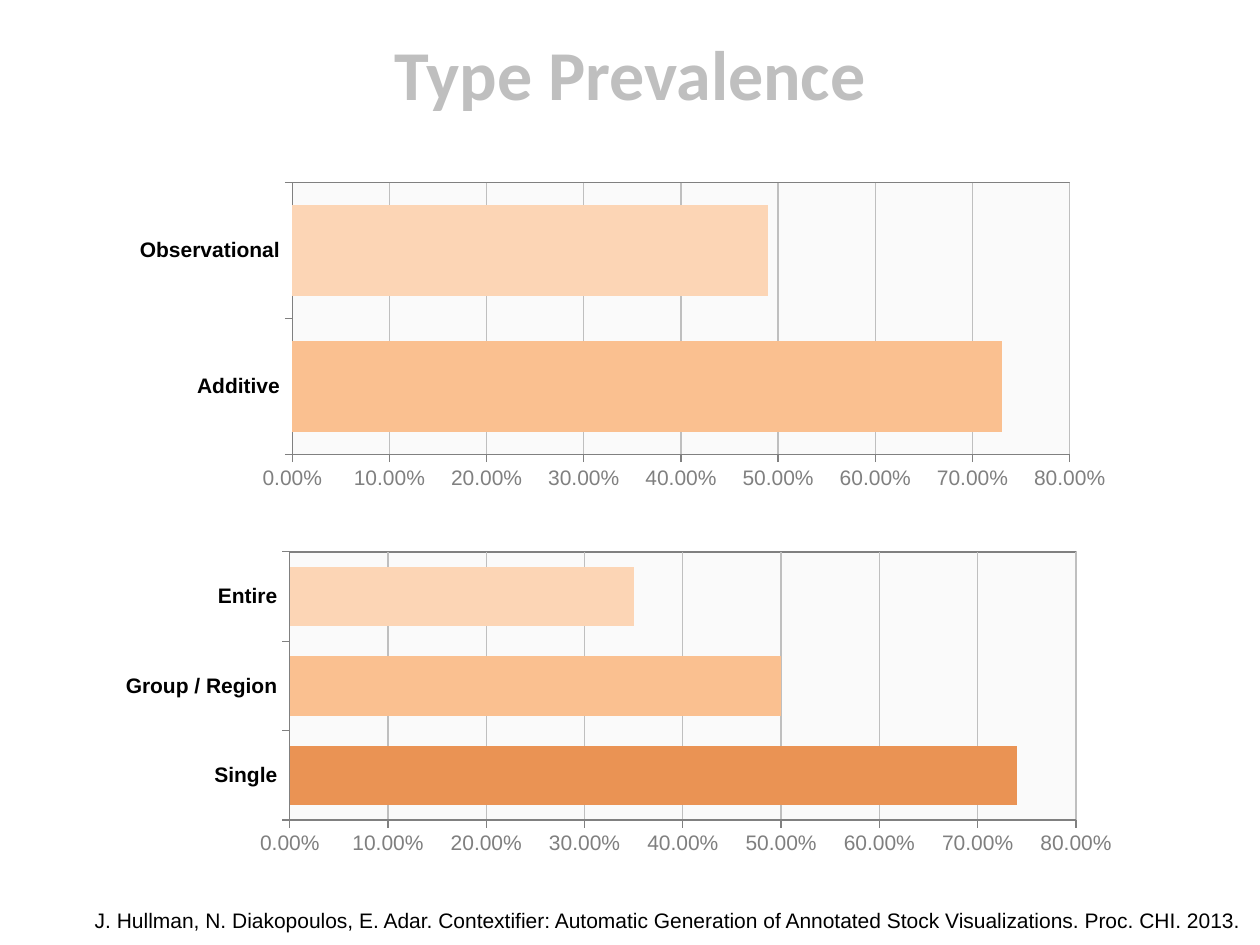
from lxml import etree
from pptx import Presentation
from pptx.chart.data import CategoryChartData
from pptx.dml.color import RGBColor
from pptx.enum.chart import XL_CHART_TYPE as ChartType, XL_TICK_MARK as TickMark
from pptx.enum.text import MSO_ANCHOR as Anchor, MSO_AUTO_SIZE as AutoSize, PP_ALIGN as Align
from pptx.oxml import parse_xml
from pptx.oxml.ns import nsdecls, qn
from pptx.util import Inches, Pt


def color(hex_string):
    return RGBColor.from_string(hex_string)


def set_font(font, hex_string, **values):
    for name, value in values.items():
        setattr(font, name, value)
    font.color.rgb = color(hex_string)


deck = Presentation()
deck.slide_width, deck.slide_height = Inches(10), Inches(7.5)
slide = deck.slides.add_slide(deck.slide_layouts[5])

title = slide.shapes.title
title.left, title.top, title.width, title.height = map(Inches, (0.5, 0.17, 9, 0.81))
title.text_frame.vertical_anchor = Anchor.MIDDLE
para = title.text_frame.paragraphs[0]
para.alignment = Align.CENTER
span = para.add_run()
span.text = "Type Prevalence"
set_font(span.font, "BFBFBF", name="Calibri", size=Pt(40), bold=True)

charts = [
    {
        "area": (0.95, 1.4, 7.99, 2.53),
        "plot": (2.32, 1.45, 6.17, 2.16),
        "label": "808080",
        "bars": [("Additive", 0.73, "FAC090"), ("Observational", 0.49, "FCD5B5")],
    },
    {
        "area": (0.83, 4.33, 8.15, 2.5),
        "plot": (2.3, 4.38, 6.24, 2.13),
        "label": "7F7F7F",
        "bars": [
            ("Single", 0.74, "EA9354"),
            ("Group / Region", 0.5, "FAC090"),
            ("Entire", 0.35, "FCD5B5"),
        ],
    },
]

for item in charts:
    names, values, fills = zip(*item["bars"])
    data = CategoryChartData(number_format="0.00%")
    data.categories = names
    data.add_series("Series 1", values)
    chart = slide.shapes.add_chart(
        ChartType.BAR_CLUSTERED, *map(Inches, item["area"]), data
    ).chart
    chart.has_legend = False
    chart.has_title = False
    set_font(chart.font, "000000", name="Calibri", size=Pt(10))

    bars = chart.plots[0]
    bars.gap_width = 50
    bars.vary_by_categories = False
    for index, fill in enumerate(fills):
        point_fill = bars.series[0].points[index].format.fill
        point_fill.solid()
        point_fill.fore_color.rgb = color(fill)

    for axis in (chart.category_axis, chart.value_axis):
        axis.major_tick_mark = TickMark.OUTSIDE
        axis.minor_tick_mark = TickMark.NONE
        axis.format.line.color.rgb = color("808080")
        axis.format.line.width = Pt(0.75)
    set_font(chart.category_axis.tick_labels.font, "000000",
             name="Arial", size=Pt(12), bold=True)

    scale = chart.value_axis
    scale.minimum_scale, scale.maximum_scale, scale.major_unit = 0, 0.8, 0.1
    scale.has_major_gridlines = True
    scale.major_gridlines.format.line.color.rgb = color("BFBFBF")
    scale.major_gridlines.format.line.width = Pt(0.75)
    scale.tick_labels.number_format = "0.00%"
    scale.tick_labels.number_format_is_linked = False
    set_font(scale.tick_labels.font, item["label"], name="Arial", size=Pt(12), bold=False)

    left, top, width, height = item["area"]
    plot_left, plot_top, plot_width, plot_height = item["plot"]
    layout_values = {
        "layoutTarget": "inner",
        "xMode": "edge",
        "yMode": "edge",
        "x": (plot_left - left) / width,
        "y": (plot_top - top) / height,
        "w": plot_width / width,
        "h": plot_height / height,
    }
    plot_area = chart.plots[0]._element.getparent()
    for old_layout in plot_area.findall(qn("c:layout")):
        plot_area.remove(old_layout)
    layout = parse_xml(f"<c:layout {nsdecls('c')}><c:manualLayout/></c:layout>")
    for tag, value in layout_values.items():
        etree.SubElement(layout[0], qn(f"c:{tag}")).set("val", str(value))
    plot_area.insert(0, layout)
    plot_area.append(parse_xml(
        f"<c:spPr {nsdecls('c', 'a')}>"
        '<a:solidFill><a:srgbClr val="FAFAFA"/></a:solidFill>'
        '<a:ln w="9525"><a:solidFill><a:srgbClr val="808080"/></a:solidFill></a:ln>'
        "</c:spPr>"
    ))

citation = slide.shapes.add_textbox(*map(Inches, (0.25, 7.15, 9.75, 0.3)))
citation.text_frame.word_wrap = True
citation.text_frame.auto_size = AutoSize.SHAPE_TO_FIT_TEXT
para = citation.text_frame.paragraphs[0]
para.alignment = Align.RIGHT
span = para.add_run()
span.text = (
    "J. Hullman, N. Diakopoulos, E. Adar. Contextifier: Automatic Generation of "
    "Annotated Stock Visualizations. Proc. CHI. 2013. "
)
set_font(span.font, "000000", name="Arial", size=Pt(12))

deck.save("out.pptx")
